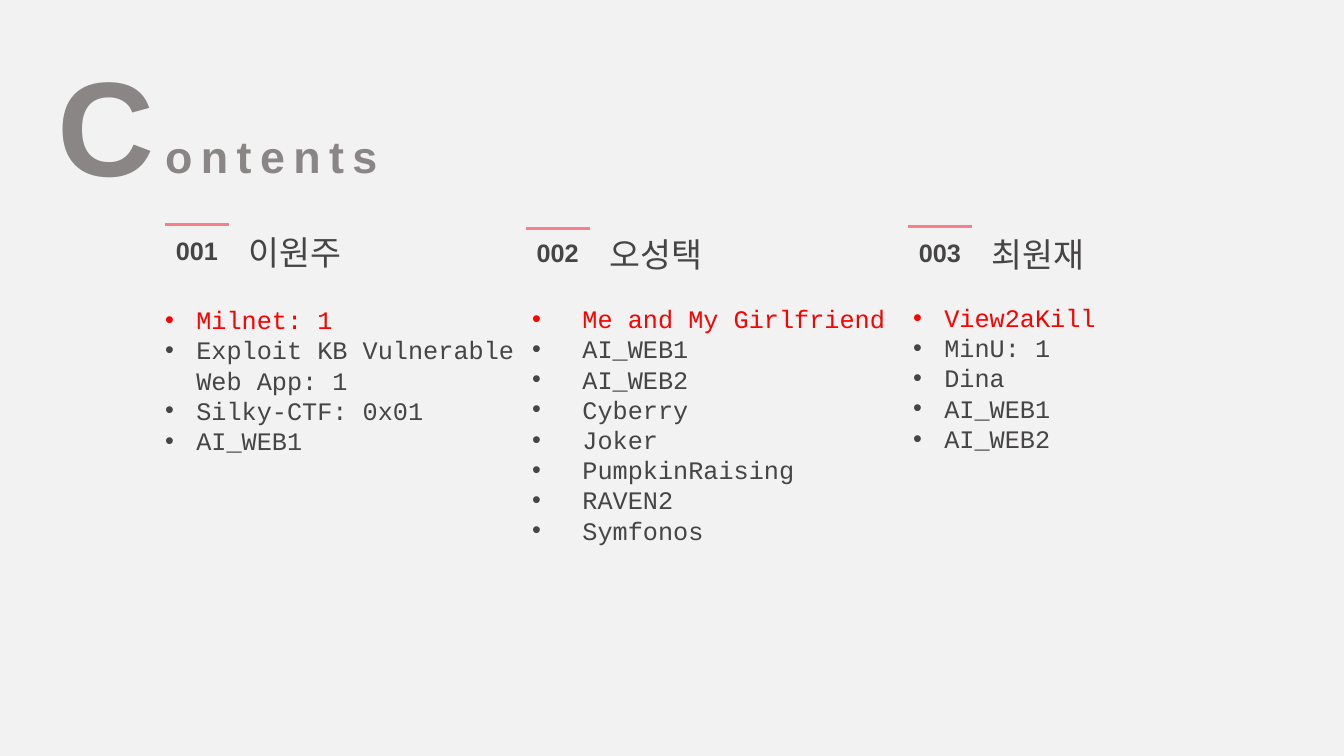
import pptx
import pptx.dml.color
import pptx.enum.shapes
import pptx.enum.text
import pptx.oxml
import pptx.oxml.ns
import pptx.util

GREY, DARK, RED, PINK, PAPER = "8A8686", "464444", "FF0000", "FA7D87", "F2F2F2"

SECTIONS = [
    dict(number="001", name="이원주", name_font="Noto Sans CJK KR", left=12.3, rule_top=29.73,
         head_top=30, list_left=11.55, list_top=39.6, list_height=21.33, indent=0.31,
         machines=["Milnet: 1", "Exploit KB Vulnerable Web App: 1", "Silky-CTF: 0x01", "AI_WEB1"]),
    dict(number="002", name="오성택", name_font="Noto Sans Mono", left=39.15, rule_top=30.27,
         head_top=30.27, list_left=38.85, list_top=39.47, list_height=37.2, indent=0.5,
         machines=["Me and My Girlfriend", "AI_WEB1", "AI_WEB2", "Cyberry", "Joker",
                   "PumpkinRaising", "RAVEN2", "Symfonos"]),
    dict(number="003", name="최원재", name_font="Noto Sans Mono", left=67.58, rule_top=30,
         head_top=30.27, list_left=67.2, list_top=39.33, list_height=21.33, indent=0.31,
         machines=["View2aKill", "MinU: 1", "Dina", "AI_WEB1", "AI_WEB2"]),
]


def color(value):
    """Turn a hex string into a colour."""
    return pptx.dml.color.RGBColor.from_string(value)


def add_element(parent, tag, **attributes):
    """Append a drawing element with the given attributes."""
    element = pptx.oxml.ns.qn(tag)
    child = parent.makeelement(element, attributes)
    parent.append(child)


def write(paragraph, text, size=18, font="Arial", fill=DARK, bold=False, spacing=0):
    """Add a formatted run to a paragraph."""
    run = paragraph.add_run()
    run.text = text
    run.font.size = pptx.util.Pt(size)
    run.font.name = font
    run.font.bold = bold
    run.font.color.rgb = color(fill)
    properties = run.font._element
    add_element(properties, "a:ea", typeface=font)
    if spacing:
        properties.set("spc", str(spacing * 100))


class ContentsSlide:
    """Hold the slide and draw on it in percent of its size."""

    def __init__(self, presentation):
        """Add a blank slide with a plain background."""
        self.width = presentation.slide_width
        self.height = presentation.slide_height
        self.slide = presentation.slides.add_slide(presentation.slide_layouts[6])
        self.slide.background.fill.solid()
        self.slide.background.fill.fore_color.rgb = color(PAPER)

    def across(self, share):
        """Convert a percentage of the width."""
        return round(self.width * share / 100)

    def down(self, share):
        """Convert a percentage of the height."""
        return round(self.height * share / 100)

    def frame(self, left, top, width, height, wrap=False):
        """Add a text box that grows with its text."""
        shape = self.slide.shapes.add_textbox(
            self.across(left), self.down(top), self.across(width), self.down(height))
        shape.text_frame.word_wrap = wrap
        shape.text_frame.auto_size = pptx.enum.text.MSO_AUTO_SIZE.SHAPE_TO_FIT_TEXT
        return shape.text_frame

    def label(self, text, left, top, width, height, **style):
        """Add a single line of text."""
        write(self.frame(left, top, width, height).paragraphs[0], text, **style)

    def rule(self, left, top, width):
        """Add a horizontal accent line."""
        line = self.slide.shapes.add_connector(
            pptx.enum.shapes.MSO_CONNECTOR.STRAIGHT, self.across(left), self.down(top),
            self.across(left + width), self.down(top))
        line.line.color.rgb = color(PINK)
        line.line.width = pptx.util.Pt(2.25)
        add_element(line._element.spPr, "a:effectLst")

    def bullets(self, items, left, top, width, height, indent):
        """Add a bulleted list with its first item in red."""
        text_frame = self.frame(left, top, width, height, wrap=True)
        for index, item in enumerate(items):
            paragraph = text_frame.add_paragraph() if index else text_frame.paragraphs[0]
            properties = paragraph._p.get_or_add_pPr()
            offset = pptx.util.Inches(indent)
            properties.set("marL", str(offset))
            properties.set("indent", str(-offset))
            add_element(properties, "a:buFont", typeface="Arial")
            add_element(properties, "a:buChar", char="•")
            write(paragraph, item, font="Courier New", fill=DARK if index else RED)

    def section(self, number, name, name_font, left, rule_top, head_top,
                list_left, list_top, list_height, indent, machines):
        """Add one person's heading and list."""
        self.rule(left, rule_top, 4.73)
        self.label(name, left + 5.45, head_top, 9.08, 6.67, size=24, font=name_font)
        self.label(number, left + 0.05, head_top + 0.53, 4.65, 5.33, bold=True)
        self.bullets(machines, list_left, list_top, 27.9, list_height, indent)


def main():
    """Build and save the contents slide."""
    presentation = pptx.Presentation()
    presentation.slide_width = pptx.util.Inches(13.33)
    presentation.slide_height = pptx.util.Inches(7.5)
    contents = ContentsSlide(presentation)
    contents.label("C", 3.53, 4.93, 8.78, 22.93, size=96, fill=GREY, bold=True)
    contents.label("ontents", 11.55, 16.4, 18.08, 8.53, size=32, fill=GREY, bold=True, spacing=6)
    for section in SECTIONS:
        contents.section(**section)
    presentation.save("out.pptx")


if __name__ == "__main__":
    main()
